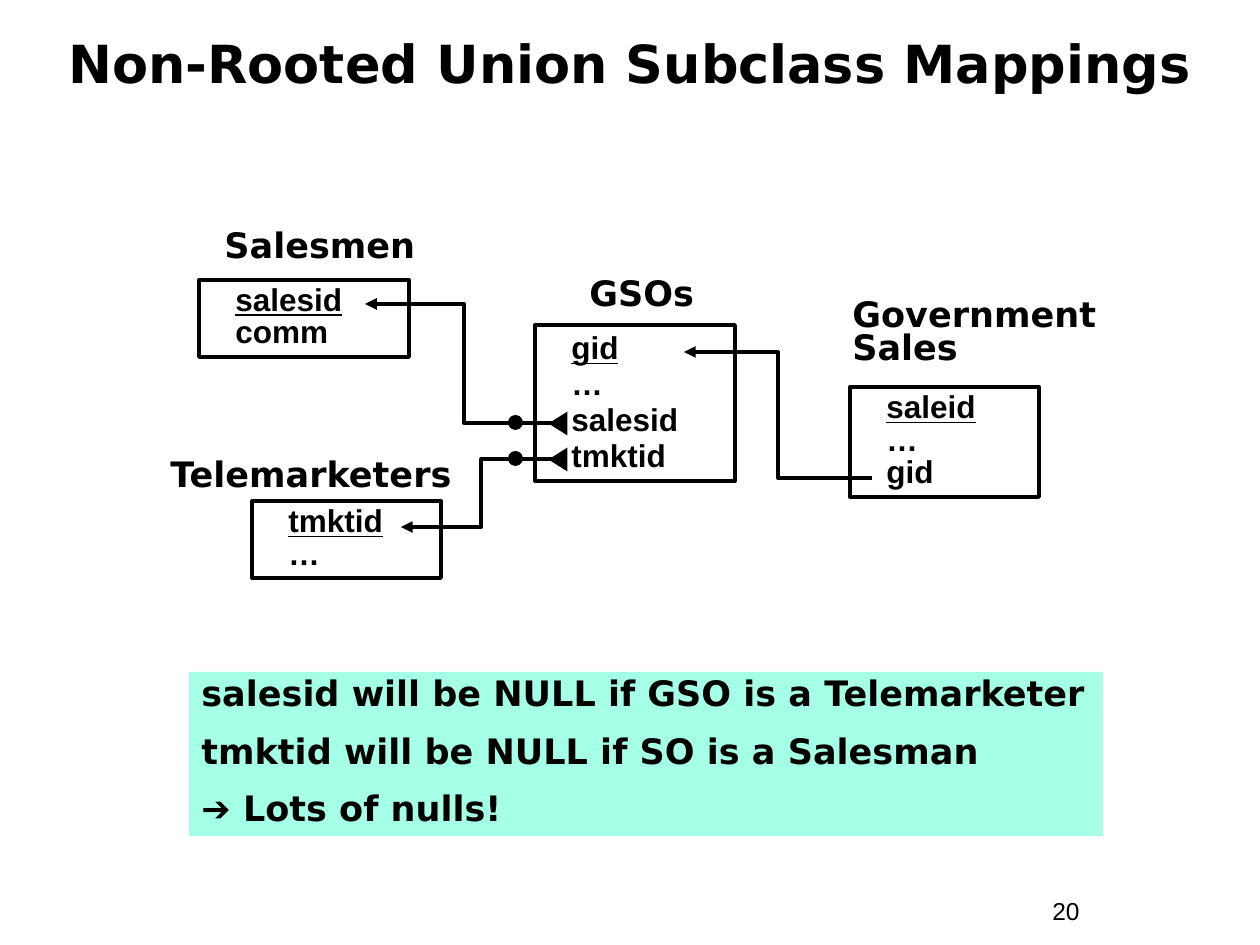
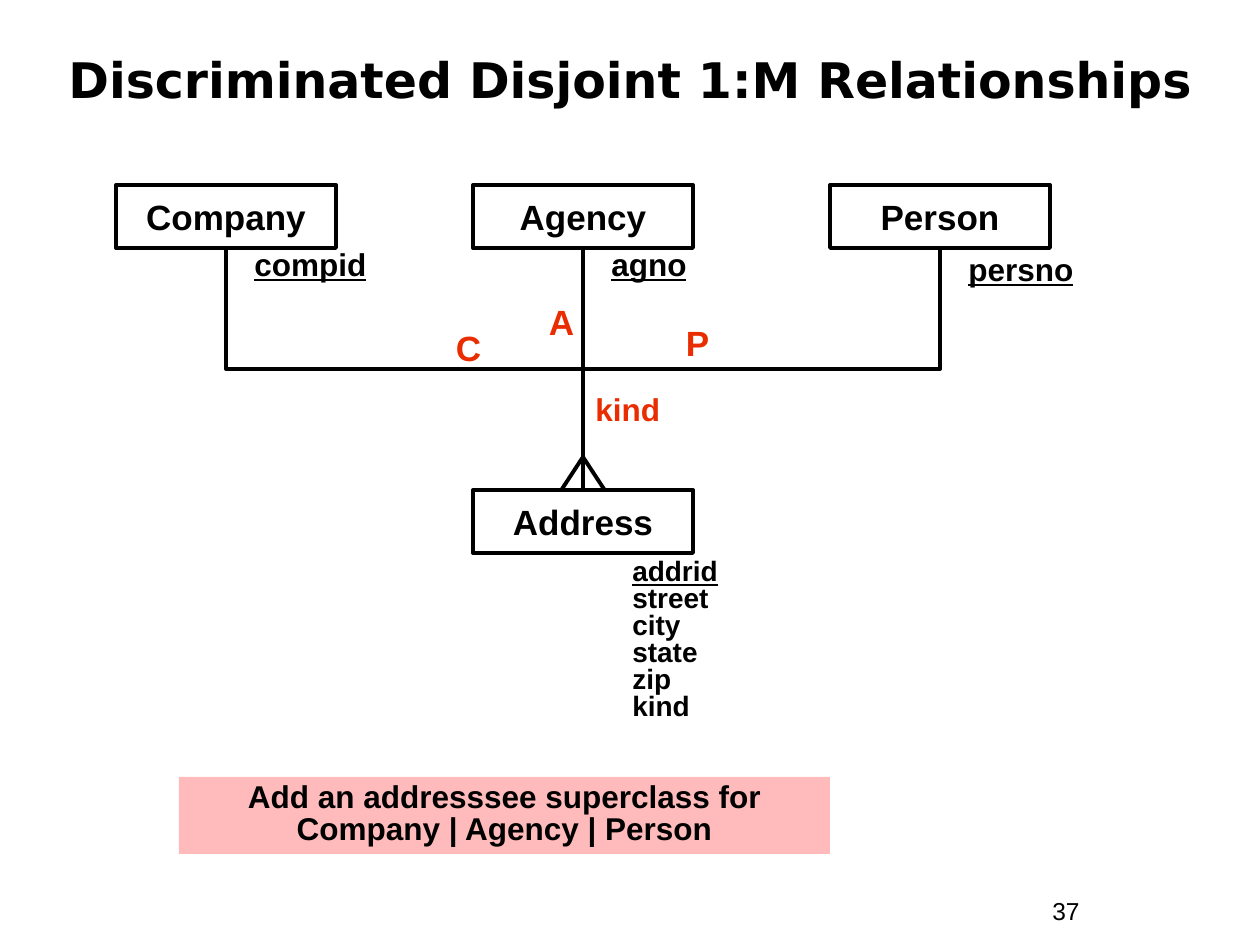
from lxml import etree
from pptx import Presentation
from pptx.dml.color import RGBColor
from pptx.enum.shapes import MSO_CONNECTOR, MSO_SHAPE
from pptx.enum.text import MSO_ANCHOR, MSO_AUTO_SIZE, PP_ALIGN
from pptx.oxml.ns import qn
from pptx.util import Emu, Pt

# Enum members
RECT, DOT, TRIANGLE = MSO_SHAPE.RECTANGLE, MSO_SHAPE.OVAL, MSO_SHAPE.ISOSCELES_TRIANGLE
STRAIGHT, ELBOW = MSO_CONNECTOR.STRAIGHT, MSO_CONNECTOR.ELBOW
LEFT, CENTER = PP_ALIGN.LEFT, PP_ALIGN.CENTER
TOP, MIDDLE = MSO_ANCHOR.TOP, MSO_ANCHOR.MIDDLE
NO_AUTOFIT = MSO_AUTO_SIZE.NONE

# Shared look
PX_PER_INCH = 126
SLIDE_SIZE = (1260, 945)
BLACK, RED, MINT, PINK = "000000", "EA2D00", "A5FFE7", "FFBBBB"
SANS, WIDE = "Arial", "DejaVu Sans"
LINE_WIDTH = Pt(2.25)
TITLE_ONLY = 5
BOTTOM_SIDE, TOP_SIDE = 2, 0


def px(length):
    return Emu(round(length * 914400 / PX_PER_INCH))


def rgb(hex_color):
    return RGBColor.from_string(hex_color)


def apply(target, values):
    for attribute, value in values.items():
        setattr(target, attribute, value)


# Text
def write(frame, paragraphs, font=SANS, size=18, color=BLACK, align=LEFT, anchor=TOP,
          spacing=1.0, before=0, margin=0, hanging=0, key_first=False):
    """Each paragraph is a string or a list of (text, font name) runs."""
    apply(frame, {"word_wrap": True, "auto_size": NO_AUTOFIT, "vertical_anchor": anchor,
                  "margin_left": Pt(7.2), "margin_right": Pt(7.2),
                  "margin_top": Pt(3.6), "margin_bottom": Pt(3.6)})
    for index, content in enumerate(paragraphs):
        paragraph = frame.add_paragraph() if index else frame.paragraphs[0]
        apply(paragraph, {"alignment": align, "line_spacing": spacing,
                          "space_before": Pt(before if index else 0)})
        if margin:
            properties = paragraph._p.get_or_add_pPr()
            properties.set("marL", str(px(margin)))
            properties.set("indent", str(px(-hanging)))
        for text, name in [(content, font)] if isinstance(content, str) else content:
            for line_index, line in enumerate(text.split("\n")):
                if line_index:
                    paragraph.add_line_break()
                run = paragraph.add_run()
                run.text = line
                apply(run.font, {"name": name, "size": Pt(size), "bold": True,
                                 "underline": key_first and index == 0})
                run.font.color.rgb = rgb(color)


def add_label(slide, at, paragraphs, **style):
    label = slide.shapes.add_textbox(*map(px, at))
    write(label.text_frame, paragraphs, **style)
    return label


def add_titled_slide(deck, title, at, size, number):
    slide = deck.slides.add_slide(deck.slide_layouts[TITLE_ONLY])
    heading = slide.shapes.title
    apply(heading, dict(zip(("left", "top", "width", "height"), map(px, at))))
    write(heading.text_frame, [title], font=WIDE, size=size, align=CENTER, anchor=MIDDLE)
    page = add_label(slide, (1040, 890, 116, 43), [number], size=14)
    page.text_frame.paragraphs[0].runs[0].font.bold = False
    return slide


# Shapes
def add_figure(slide, kind, at, fill=None, outline=None):
    figure = slide.shapes.add_shape(kind, *map(px, at))
    figure.shadow.inherit = False
    if fill:
        figure.fill.solid()
        figure.fill.fore_color.rgb = rgb(fill)
    else:
        figure.fill.background()
    if outline:
        figure.line.color.rgb = rgb(outline)
        figure.line.width = LINE_WIDTH
    else:
        figure.line.fill.background()
    return figure


def add_box(slide, at, paragraphs, fill=None, outline=BLACK, **style):
    box = add_figure(slide, RECT, at, fill, outline)
    write(box.text_frame, paragraphs, **style)
    return box


def add_link(slide, start, end, kind=STRAIGHT, arrow=False):
    link = slide.shapes.add_connector(kind, *map(px, (*start, *end)))
    link.line.color.rgb = rgb(BLACK)
    link.line.width = LINE_WIDTH
    if arrow:
        etree.SubElement(link.line._get_or_add_ln(), qn("a:tailEnd"), type="triangle")
    etree.SubElement(link._element.spPr, qn("a:effectLst"))
    return link


def add_upright_elbow(slide, start, end):
    """An elbow that leaves and arrives vertically: a level one, turned a quarter."""
    (x1, y1), (x2, y2) = start, end
    middle_x, middle_y = (x1 + x2) / 2, (y1 + y2) / 2
    turn = 1 if x2 > x1 else -1
    across, down = turn * (y2 - y1) / 2, turn * (x2 - x1) / 2
    link = add_link(slide, (middle_x - across, middle_y + down),
                    (middle_x + across, middle_y - down), ELBOW)
    link._element.spPr.find(qn("a:xfrm")).set("rot", str(turn * 90 % 360 * 60000))


# Slides
def build_union_mappings(deck):
    slide = add_titled_slide(deck, "Non-Rooted Union Subclass Mappings",
                             (21, 21, 1218, 84), 30, "20")

    # Tables: name, place of name, place of box, fields, line spacing
    tables = [
        ("Salesmen", (212, 217, 271, 55), (199, 280, 210, 77), ["salesid", "comm"], 0.85),
        ("Telemarketers", (158, 446, 315, 55), (252, 501, 189, 77), ["tmktid", "…"], 0.85),
        ("GSOs", (577, 265, 168, 55), (535, 325, 200, 156),
         ["gid", "…", "salesid", "tmktid"], 0.95),
        ("Government\nSales", (840, 294, 294, 81), (850, 387, 189, 110),
         ["saleid", "…\ngid"], 0.85),
    ]
    for name, name_at, box_at, fields, spacing in tables:
        add_box(slide, box_at, fields, spacing=spacing, margin=24, key_first=True)
        add_label(slide, name_at, [name], font=WIDE, size=20,
                  spacing=0.8 if "\n" in name else 1.0)

    # Foreign keys
    sales_row, tmkt_row = 423, 459
    for start, end in [((872, 478), (684, 352)),
                       ((563, sales_row), (365, 304)),
                       ((562, tmkt_row), (401, 527))]:
        add_link(slide, start, end, ELBOW, arrow=True)
    for row in (sales_row, tmkt_row):
        add_figure(slide, DOT, (510, row - 6, 11, 11), BLACK, BLACK)
        add_figure(slide, TRIANGLE, (546, row - 9, 24, 19), BLACK).rotation = 270

    # Remark
    add_box(slide, (189, 672, 914, 164),
            ["salesid will be NULL if GSO is a Telemarketer",
             "tmktid will be NULL if SO is a Salesman",
             [("➔", SANS), (" Lots of nulls!", WIDE)]],
            fill=MINT, outline=None, font=WIDE, size=20, spacing=0.85, before=12.5,
            margin=48, hanging=48)


def build_disjoint_relationships(deck):
    slide = add_titled_slide(deck, "Discriminated Disjoint 1:M Relationships",
                             (42, 21, 1176, 116), 28, "37")
    box_width, box_height, step = 220, 63, 357
    owner_top, address_top = 185, 490
    entity_style = {"size": 20, "align": CENTER, "anchor": MIDDLE}

    # Owners with their keys
    owners, centers = [], []
    for index, (name, key, key_top) in enumerate([("Company", "compid", 243),
                                                  ("Agency", "agno", 243),
                                                  ("Person", "persno", 248)]):
        left = 116 + index * step
        owners.append(add_box(slide, (left, owner_top, box_width, box_height),
                              [name], **entity_style))
        centers.append(left + box_width // 2)
        add_label(slide, (left + 126, key_top, 210, 47), [key], spacing=0.9, key_first=True)

    # Address with its fields
    company_x, agency_x, person_x = centers
    address = add_box(slide, (agency_x - box_width // 2, address_top, box_width, box_height),
                      ["Address"], **entity_style)
    add_label(slide, (620, 554, 147, 174),
              ["addrid", "street", "city", "state", "zip", "kind"],
              size=16, spacing=0.8, key_first=True)

    # Relationship lines and crow's foot
    owner_bottom = owner_top + box_height
    stem = add_link(slide, (agency_x, owner_bottom), (agency_x, address_top))
    stem.begin_connect(owners[1], BOTTOM_SIDE)
    stem.end_connect(address, TOP_SIDE)
    for owner_x in (company_x, person_x):
        add_upright_elbow(slide, (agency_x, address_top), (owner_x, owner_bottom))
    for toe in (-21, 21):
        add_link(slide, (agency_x, 457), (agency_x + toe, address_top - 1))

    # Discriminator and its codes
    add_label(slide, (583, 388, 147, 47), ["kind"], color=RED, spacing=0.9)
    for code, left, top in [("C", 432, 328), ("A", 525, 302), ("P", 661, 323)]:
        add_label(slide, (left, top, 73, 47), [code], size=20, color=RED,
                  align=CENTER, spacing=0.8)

    # Remark
    add_box(slide, (179, 777, 651, 77),
            ["Add an addresssee superclass for\nCompany | Agency | Person"],
            fill=PINK, outline=None, align=CENTER, spacing=0.85)


def main():
    deck = Presentation()
    deck.slide_width, deck.slide_height = map(px, SLIDE_SIZE)
    build_union_mappings(deck)
    build_disjoint_relationships(deck)
    deck.save("out.pptx")


if __name__ == "__main__":
    main()
